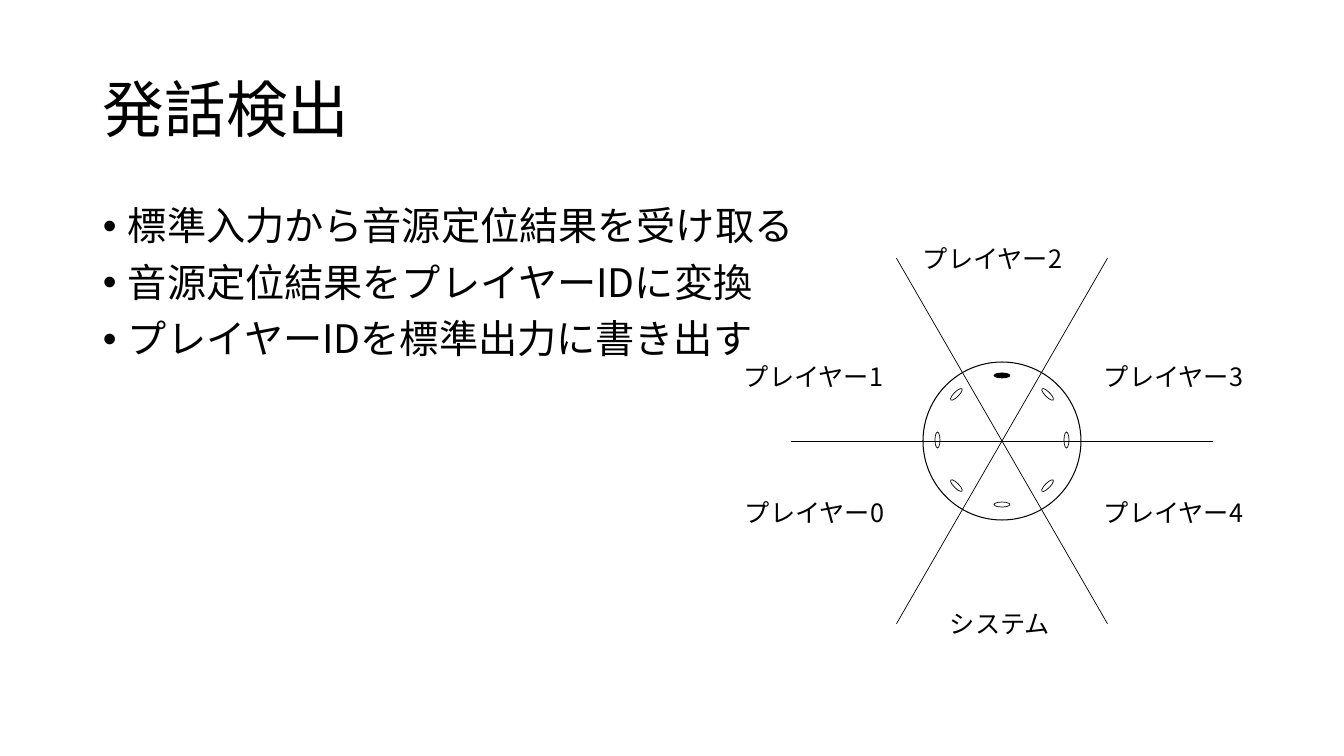
"""Build the speech detection slide with its player sector diagram."""
import math

from lxml import etree
from pptx import Presentation
from pptx.dml.color import RGBColor
from pptx.enum.shapes import MSO_CONNECTOR, MSO_SHAPE
from pptx.enum.text import MSO_ANCHOR
from pptx.oxml.ns import qn
from pptx.util import Emu, Pt

OVAL = MSO_SHAPE.OVAL
STRAIGHT = MSO_CONNECTOR.STRAIGHT
TOP, MIDDLE = MSO_ANCHOR.TOP, MSO_ANCHOR.MIDDLE
BLACK = RGBColor(0, 0, 0)
FONT = "Noto Sans CJK JP"
SCALE = 914400 / 100.8


def px(value):
    return Emu(round(value * SCALE))


def add_text(lines, left, top, width, height, *, size=18, anchor=TOP,
             spacing=1.0, before=0, bullet_indent=0):
    box = slide.shapes.add_textbox(px(left), px(top), px(width), px(height))
    frame = box.text_frame
    frame.word_wrap = True
    frame.vertical_anchor = anchor
    frame.text = "\n".join(lines)
    for paragraph in frame.paragraphs:
        paragraph.line_spacing = spacing
        paragraph.space_before = Pt(before)
        if bullet_indent:
            properties = paragraph._p.get_or_add_pPr()
            properties.set("marL", str(px(bullet_indent)))
            properties.set("indent", str(-px(bullet_indent)))
            etree.SubElement(properties, qn("a:buFont"), typeface="Arial")
            etree.SubElement(properties, qn("a:buChar"), char="•")
        for run in paragraph.runs:
            run.font.size = Pt(size)
            run.font.color.rgb = BLACK
            run.font.name = FONT
            etree.SubElement(run._r.get_or_add_rPr(), qn("a:ea"), typeface=FONT)


presentation = Presentation()
presentation.slide_width = px(1344)
presentation.slide_height = px(756)
slide = presentation.slides.add_slide(presentation.slide_layouts[6])

add_text(["発話検出"], 93, 40, 1159, 146, size=44, anchor=MIDDLE, spacing=0.9)
add_text(
    ["標準入力から音源定位結果を受け取る",
     "音源定位結果をプレイヤーIDに変換",
     "プレイヤーIDを標準出力に書き出す"],
    93, 202, 1159, 480, size=28, spacing=0.9, before=10, bullet_indent=25)

CENTER_X, CENTER_Y = 1002, 441
DEVICE_RADIUS = 79
LED_CENTER_Y, LED_ORBIT = 440, 64.5
LED_WIDTH, LED_HEIGHT = 16, 5
LED_COUNT = 8
SECTOR_LENGTH = 211

diagram = slide.shapes.add_group_shape().shapes
ovals = [(CENTER_X, CENTER_Y, 2 * DEVICE_RADIUS, 2 * DEVICE_RADIUS, 0, 0.75, False)]
for index in range(LED_COUNT):
    rotation = 360 / LED_COUNT * index
    angle = math.radians(rotation)
    ovals.append((CENTER_X + LED_ORBIT * math.sin(angle),
                  LED_CENTER_Y - LED_ORBIT * math.cos(angle),
                  LED_WIDTH, LED_HEIGHT, rotation, 0.5, index == 0))

for x, y, width, height, rotation, line_width, lit in ovals:
    oval = diagram.add_shape(OVAL, px(x - width / 2), px(y - height / 2),
                             px(width), px(height))
    oval.rotation = rotation
    oval.shadow.inherit = False
    oval.line.color.rgb = BLACK
    oval.line.width = Pt(line_width)
    if lit:
        oval.fill.solid()
        oval.fill.fore_color.rgb = BLACK
    else:
        oval.fill.background()

for degrees in (0, 60, 120):
    dx = SECTOR_LENGTH * math.cos(math.radians(degrees))
    dy = SECTOR_LENGTH * math.sin(math.radians(degrees))
    border = diagram.add_connector(STRAIGHT, px(CENTER_X - dx), px(CENTER_Y - dy),
                                   px(CENTER_X + dx), px(CENTER_Y + dy))
    border.line.color.rgb = BLACK
    border.line.width = Pt(0.5)
    etree.SubElement(border._element.spPr, qn("a:effectLst"))

PLAYER_POSITIONS = [(735, 492), (734, 356), (913, 238), (1094, 356), (1094, 492)]
for player, (left, top) in enumerate(PLAYER_POSITIONS):
    add_text([f"プレイヤー{player}"], left, top, 160, 40)
add_text(["システム"], 940, 603, 122, 40)

presentation.save("out.pptx")
